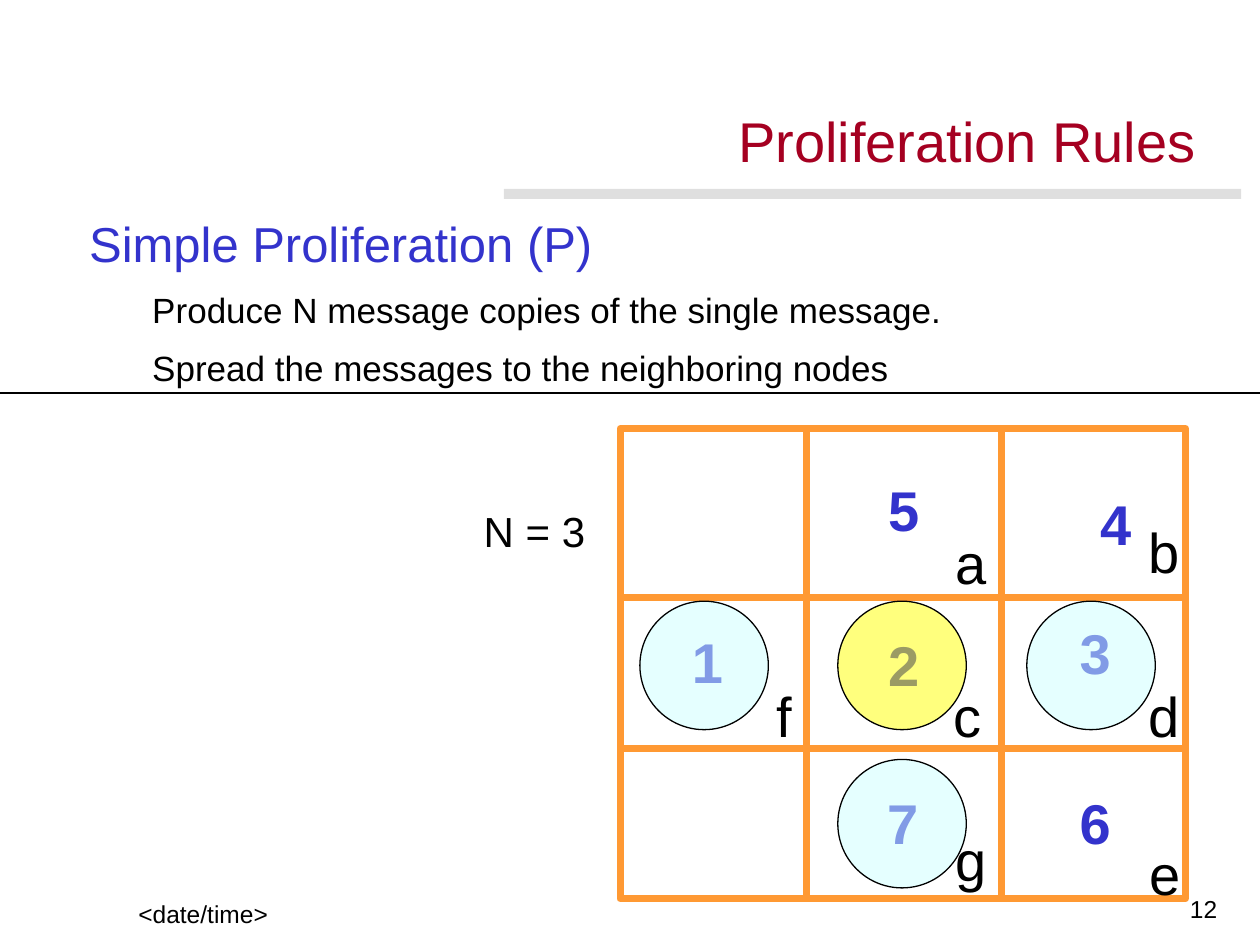
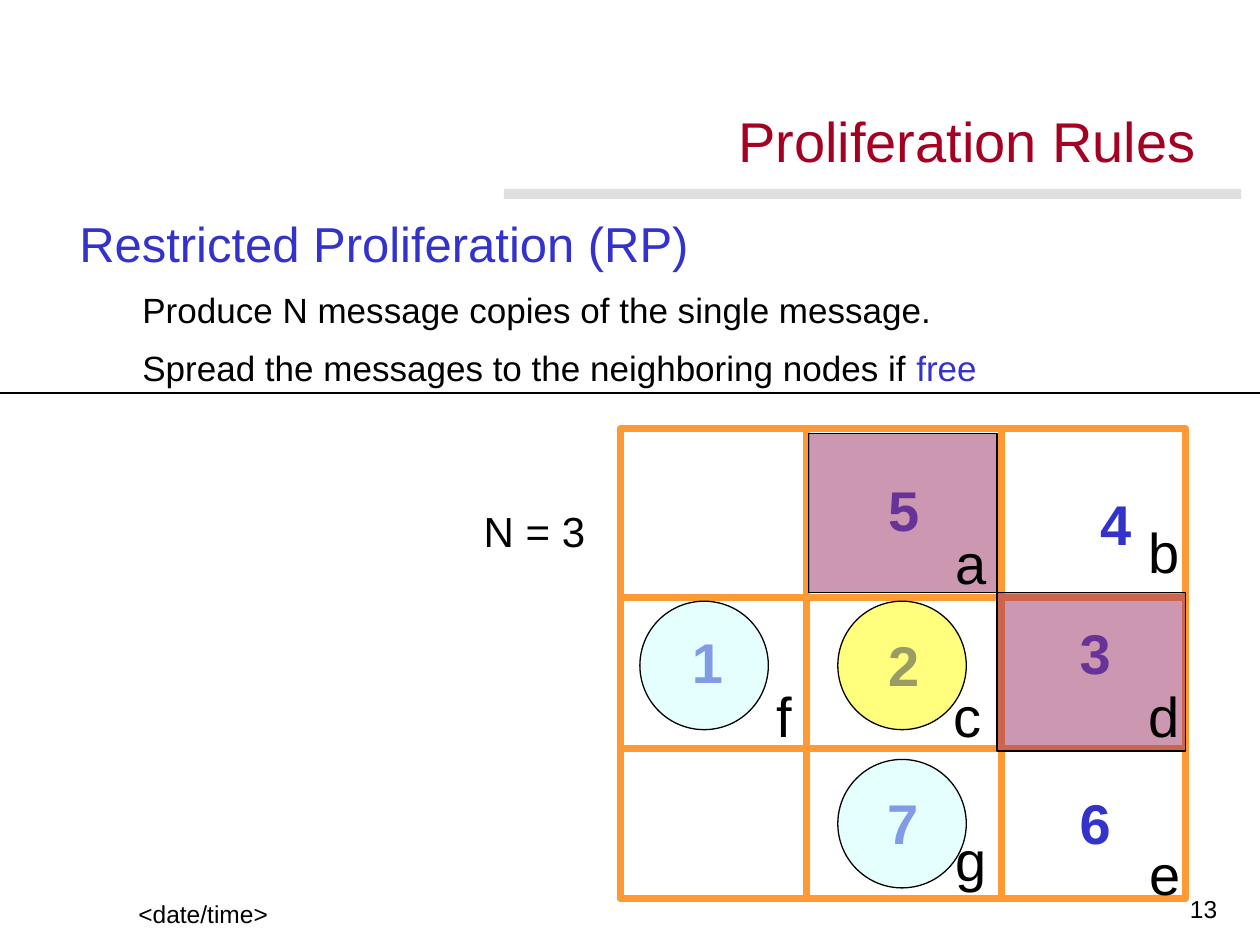
from dataclasses import dataclass

import pptx
import pptx.dml.color
import pptx.enum.dml
import pptx.enum.shapes
import pptx.enum.text
import pptx.oxml
import pptx.oxml.ns
import pptx.util
from pptx.util import Cm

SHAPE = pptx.enum.shapes.MSO_SHAPE
ANCHOR = pptx.enum.text.MSO_ANCHOR
ALIGN = pptx.enum.text.PP_ALIGN


@dataclass(frozen=True)
class Theme:
    font: str = "Arial"
    black: str = "000000"
    title: str = "A50021"
    accent: str = "3333CC"
    bar: str = "C0C0C0"
    grid: str = "FF9933"
    source: str = "FFFF00"
    copy: str = "CCFFFF"
    blocked: str = "993366"
    title_size: float = 32
    heading_size: float = 28
    body_size: float = 20
    note_size: float = 24
    footer_size: float = 14
    body_leading: float = 33.2
    thin: float = 0.75
    thick: float = 4


THEME = Theme()

# Grid of nodes, in centimetres
COLUMNS = (12.5, 16.25, 20.18, 23.9)
ROWS = (8.64, 12.04, 15.08, 18.12)
CHARACTER_WIDTH = 1.14
CIRCLE_SIZE = 2.59
BLOCK_WIDTH, BLOCK_HEIGHT = 3.8, 3.2

LETTERS = {
    "a": (19, 10.52), "b": (22.89, 10.31), "c": (18.94, 13.61),
    "d": (22.89, 13.61), "e": (22.91, 16.79), "f": (15.25, 13.61),
    "g": (19, 16.51),
}
NUMBERS = {
    "1": (13.69, 12.52), "2": (17.65, 12.58), "3": (21.51, 12.34),
    "4": (21.92, 9.73), "5": (17.65, 9.45), "6": (21.51, 15.77),
    "7": (17.63, 15.77),
}
CIRCLES = {"1": (12.9, 12.12), "2": (16.89, 12.12),
           "3": (20.7, 12.12), "7": (16.89, 15.31)}


def rgb(value):
    return pptx.dml.color.RGBColor.from_string(value)


def write_text(para, text, *, size, color=THEME.black, bold=False,
               align=ALIGN.LEFT, leading=None, indent=0):
    """Add one formatted span and set the layout of its paragraph."""
    para.alignment = align
    if leading:
        para.line_spacing = pptx.util.Pt(leading)
    if indent:
        para._p.get_or_add_pPr().set("marL", str(Cm(indent)))
    span = para.add_run()
    span.text = text
    span.font.name = THEME.font
    span.font.size = pptx.util.Pt(size)
    span.font.bold = bold
    span.font.color.rgb = rgb(color)


def set_frame(box, *, wrap=True, anchor=ANCHOR.TOP, inset=True):
    frame = box.text_frame
    frame.word_wrap = wrap
    frame.auto_size = pptx.enum.text.MSO_AUTO_SIZE.NONE
    frame.vertical_anchor = anchor
    frame.margin_left = frame.margin_right = Cm(0.25 if inset else 0)
    frame.margin_top = frame.margin_bottom = Cm(0.13 if inset else 0)
    return frame


def add_label(page, text, left, top, width, height, *, wrap=False,
              anchor=ANCHOR.TOP, **text_format):
    box = page.shapes.add_textbox(Cm(left), Cm(top), Cm(width), Cm(height))
    frame = set_frame(box, wrap=wrap, anchor=anchor)
    write_text(frame.paragraphs[0], text, **text_format)


def add_figure(page, kind, left, top, width, height, *, fill=None,
               opacity=51, line=None, weight=THEME.thin):
    figure = page.shapes.add_shape(kind, Cm(left), Cm(top), Cm(width), Cm(height))
    figure.shadow.inherit = False
    if fill:
        figure.fill.solid()
        figure.fill.fore_color.rgb = rgb(fill)
        color = figure.fill._xPr.find(".//" + pptx.oxml.ns.qn("a:srgbClr"))
        alpha = pptx.oxml.parse_xml(
            f'<a:alpha {pptx.oxml.ns.nsdecls("a")} val="{opacity * 1000}"/>')
        color.append(alpha)
    else:
        figure.fill.background()
    if line:
        figure.line.color.rgb = rgb(line)
        figure.line.width = pptx.util.Pt(weight)
    else:
        figure.line.fill.background()
    return figure


def add_line(page, start, end, color, weight):
    line = page.shapes.add_connector(
        pptx.enum.shapes.MSO_CONNECTOR.STRAIGHT,
        Cm(start[0]), Cm(start[1]), Cm(end[0]), Cm(end[1]))
    line.line.color.rgb = rgb(color)
    line.line.width = pptx.util.Pt(weight)
    line._element.spPr.append(
        pptx.oxml.parse_xml(f'<a:effectLst {pptx.oxml.ns.nsdecls("a")}/>'))


def add_page(deck, number):
    """Title, title bar, divider and footer shared by every page."""
    page = deck.slides.add_slide(deck.slide_layouts[5])
    title = page.shapes.title
    title.left, title.top, title.width, title.height = (
        Cm(14.88), Cm(2.34), Cm(9.55), Cm(1.17))
    frame = set_frame(title, wrap=False, inset=False)
    write_text(frame.paragraphs[0], "Proliferation Rules", color=THEME.title,
               size=THEME.title_size, leading=THEME.body_leading)

    bar = add_figure(page, SHAPE.ROUNDED_RECTANGLE, 10.16, 3.81, 14.86, 0.2,
                     fill=THEME.bar, opacity=50)
    bar.adjustments[0] = 0.02
    add_line(page, (0, 7.92), (25.4, 7.92), THEME.black, THEME.thin)

    footer = dict(wrap=True, anchor=ANCHOR.BOTTOM, size=THEME.footer_size)
    add_label(page, "<date/time>", 2.54, 17.58, 5.28, 1.27, **footer)
    add_label(page, str(number), 19.51, 17.88, 5.28, 0.86,
              align=ALIGN.RIGHT, **footer)
    return page


def add_rule_text(page, left, heading, points):
    """Heading with indented points; each point is a list of (text, color)."""
    box = page.shapes.add_textbox(Cm(left), Cm(4.32), Cm(25.1), Cm(3.53))
    frame = set_frame(box, inset=False)
    write_text(frame.paragraphs[0], heading, size=THEME.heading_size,
               color=THEME.accent, leading=THEME.body_leading)
    for point in points:
        para = frame.add_paragraph()
        for text, color in point:
            write_text(para, text, size=THEME.body_size, color=color,
                       leading=THEME.body_leading, indent=1.27)


def add_grid(page):
    add_label(page, "N = 3", 9.5, 10.06, 2.54, 1.27, size=THEME.note_size)
    left, *inner_columns, right = COLUMNS
    top, *inner_rows, bottom = ROWS
    add_figure(page, SHAPE.RECTANGLE, left, top, right - left, bottom - top,
               line=THEME.grid, weight=THEME.thick)
    for x in inner_columns:
        add_line(page, (x, top), (x, bottom), THEME.grid, THEME.thick)
    for y in inner_rows:
        add_line(page, (left, y), (right, y), THEME.grid, THEME.thick)


def add_characters(page, places, **text_format):
    for character, (left, top) in places.items():
        add_label(page, character, left, top, CHARACTER_WIDTH, 1.63,
                  size=THEME.title_size, align=ALIGN.CENTER, **text_format)


def add_circles(page, nodes):
    for node in nodes:
        add_figure(page, SHAPE.OVAL, *CIRCLES[node], CIRCLE_SIZE, CIRCLE_SIZE,
                   fill=THEME.source if node == "2" else THEME.copy,
                   line=THEME.black)


def add_blocked_cells(page):
    """Two occupied cells that meet at a corner."""
    for step in range(2):
        add_figure(page, SHAPE.RECTANGLE, 16.3 + step * BLOCK_WIDTH,
                   8.74 + step * BLOCK_HEIGHT, BLOCK_WIDTH, BLOCK_HEIGHT,
                   fill=THEME.blocked, line=THEME.black)


def main():
    deck = pptx.Presentation()
    deck.slide_width, deck.slide_height = Cm(25.4), Cm(19.05)
    produce = [("Produce N message copies of the single message.", THEME.black)]
    spread = "Spread the messages to the neighboring nodes"

    # Simple proliferation: every neighbour may take a message
    page = add_page(deck, 12)
    add_rule_text(page, 1.8, "Simple Proliferation (P)",
                  [produce, [(spread, THEME.black)]])
    add_grid(page)
    add_characters(page, LETTERS)
    add_characters(page, NUMBERS, color=THEME.accent, bold=True)
    add_circles(page, "2713")

    # Restricted proliferation: occupied cells are skipped
    page = add_page(deck, 13)
    add_rule_text(page, 1.6, "Restricted Proliferation (RP)",
                  [produce, [(spread + " if ", THEME.black),
                             ("free", THEME.accent)]])
    add_grid(page)
    add_characters(page, NUMBERS, color=THEME.accent, bold=True)
    add_circles(page, "271")
    add_blocked_cells(page)
    add_characters(page, LETTERS)

    deck.save("out.pptx")


if __name__ == "__main__":
    main()
